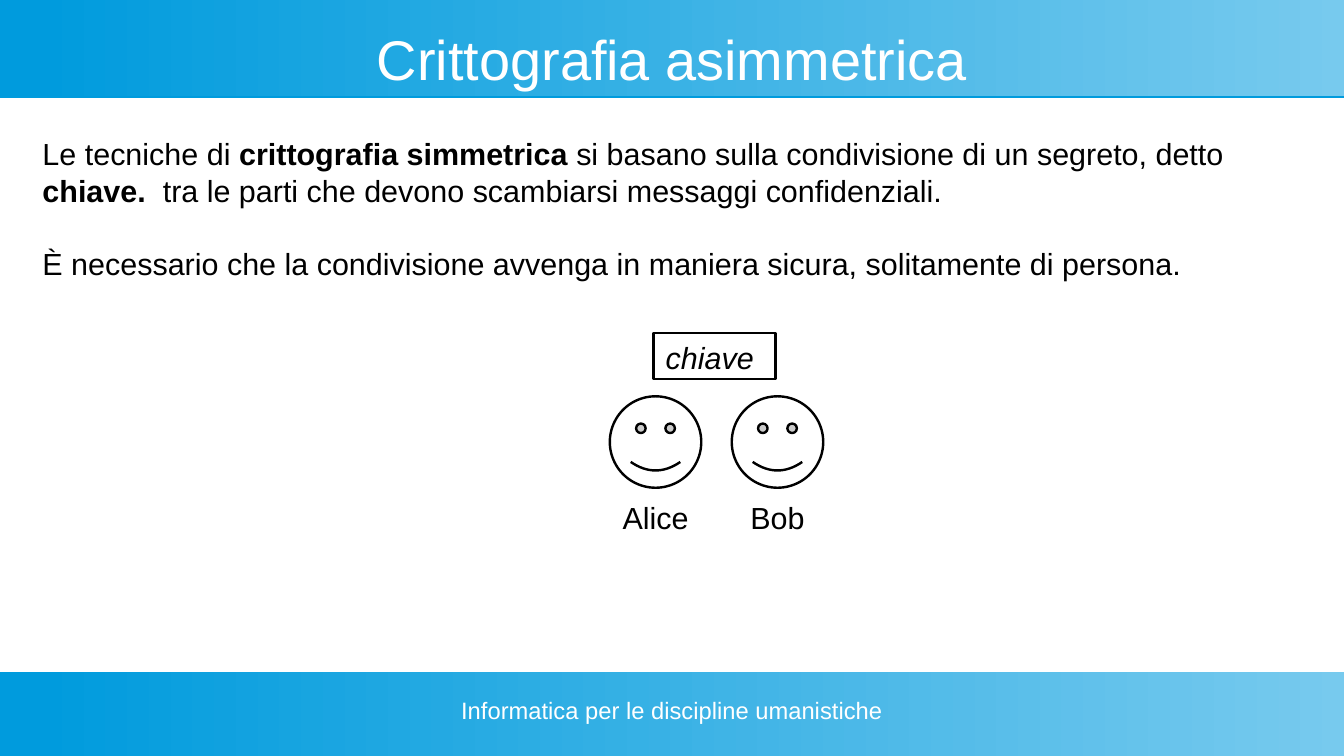
from dataclasses import dataclass

from lxml import etree
from pptx import Presentation
from pptx import util as u
from pptx.dml.color import RGBColor
from pptx.enum import shapes, text
from pptx.oxml import ns

In = u.Inches


@dataclass(frozen=True)
class Theme:
    font: str = "Arial"
    dark: str = "009BDD"
    light: str = "77CAEE"
    ink: str = "000000"
    paper: str = "FFFFFF"
    title: int = 33
    body: int = 18
    footer: int = 14
    outline: float = 1.42
    leading: float = 1.2


T = Theme()
WIDTH, HEIGHT = 11.02, 6.2


def rgb(value):
    return RGBColor.from_string(value)


def write(tf, paragraphs, size=T.body, color=T.ink, align=text.PP_ALIGN.LEFT,
          anchor=text.MSO_ANCHOR.TOP, margins=(0, 0), italic=False, gap=0):
    """Fill a text frame; each paragraph is a list of (words, bold) pairs."""
    tf.word_wrap = True
    tf.vertical_anchor = anchor
    tf.margin_left = tf.margin_right = In(margins[0])
    tf.margin_top = tf.margin_bottom = In(margins[1])
    for i, runs in enumerate(paragraphs):
        p = tf.add_paragraph() if i else tf.paragraphs[0]
        p.alignment = align
        p.line_spacing = u.Pt(size * T.leading)
        p.space_before = u.Pt(gap if i else 0)
        for words, bold in runs:
            r = p.add_run()
            r.text = words
            r.font.name, r.font.size = T.font, u.Pt(size)
            r.font.bold, r.font.italic = bold, italic
            r.font.color.rgb = rgb(color)


def add_text(s, x, y, w, h, paragraphs, **fmt):
    box = s.shapes.add_textbox(In(x), In(y), In(w), In(h))
    write(box.text_frame, paragraphs, **fmt)


def add_outlined(s, kind, x, y, w, h):
    sp = s.shapes.add_shape(kind, In(x), In(y), In(w), In(h))
    sp.shadow.inherit = False
    sp.fill.solid()
    sp.fill.fore_color.rgb = rgb(T.paper)
    sp.line.color.rgb = rgb(T.ink)
    sp.line.width = u.Pt(T.outline)
    return sp


def add_band(s, y, h):
    """Full-width gradient band with a thin solid shadow below it."""
    sp = s.shapes.add_shape(shapes.MSO_SHAPE.RECTANGLE, 0, In(y), In(WIDTH), In(h))
    sp.line.fill.background()
    sp.fill.gradient()
    sp.fill.gradient_angle = 0
    for stop, color, position in zip(sp.fill.gradient_stops, (T.dark, T.light), (0.03, 1)):
        stop.color.rgb = rgb(color)
        stop.position = position
    sp.shadow.inherit = False
    effects = sp.element.spPr.find(ns.qn("a:effectLst"))
    shadow = etree.SubElement(effects, ns.qn("a:outerShdw"), dist=str(u.Pt(0.9)),
                              dir="5400000", rotWithShape="0")
    etree.SubElement(shadow, ns.qn("a:srgbClr"), val=T.dark)


def add_header(s, y, h):
    add_band(s, y, h)
    add_text(s, 0.39, y + 0.2, 10.24, 0.55, [[("Crittografia asimmetrica", False)]],
             size=T.title, color=T.paper, align=text.PP_ALIGN.CENTER,
             anchor=text.MSO_ANCHOR.MIDDLE)


def add_footer(s, y, h):
    add_band(s, y, h)
    add_text(s, 3.74, y + 0.2, 3.54, 0.39,
             [[("Informatica per le discipline umanistiche", False)]],
             size=T.footer, color=T.paper, align=text.PP_ALIGN.CENTER)


def add_body(s, x, y, w, h):
    add_text(s, x, y, w, h, [
        [("Le tecniche di ", False), ("crittografia simmetrica", True),
         (" si basano sulla condivisione di un segreto, detto ", False),
         ("chiave. ", True),
         (" tra le parti che devono scambiarsi messaggi confidenziali.", False)],
        [("È necessario che la condivisione avvenga in maniera sicura, "
          "solitamente di persona.", False)],
    ], margins=(0.1, 0.05), gap=T.body * T.leading)


def add_people(s, x, y):
    """The shared key above Alice and Bob."""
    face, pitch = 0.75, 1
    for i, name in enumerate(("Alice", "Bob")):
        left, top = x + i * pitch, y + 0.52
        smiley = add_outlined(s, shapes.MSO_SHAPE.SMILEY_FACE, left, top, face, face)
        smiley.adjustments[0] = 0.0465
        add_text(s, left, top + face + 0.09, face, 0.3, [[(name, False)]],
                 align=text.PP_ALIGN.CENTER)
    key = add_outlined(s, shapes.MSO_SHAPE.RECTANGLE, x + 0.36, y, 1, 0.38)
    key.fill.background()
    write(key.text_frame, [[("chiave", False)]], margins=(0.1, 0.05), italic=True)


def main():
    prs = Presentation()
    prs.slide_width, prs.slide_height = In(WIDTH), In(HEIGHT)
    s = prs.slides.add_slide(prs.slide_layouts[6])
    add_header(s, 0, 0.79)
    add_footer(s, 5.51, HEIGHT - 5.51)
    add_body(s, 0.25, 1.06, 10.25, 1.5)
    add_people(s, 5, 2.73)
    prs.save("out.pptx")


if __name__ == "__main__":
    main()
